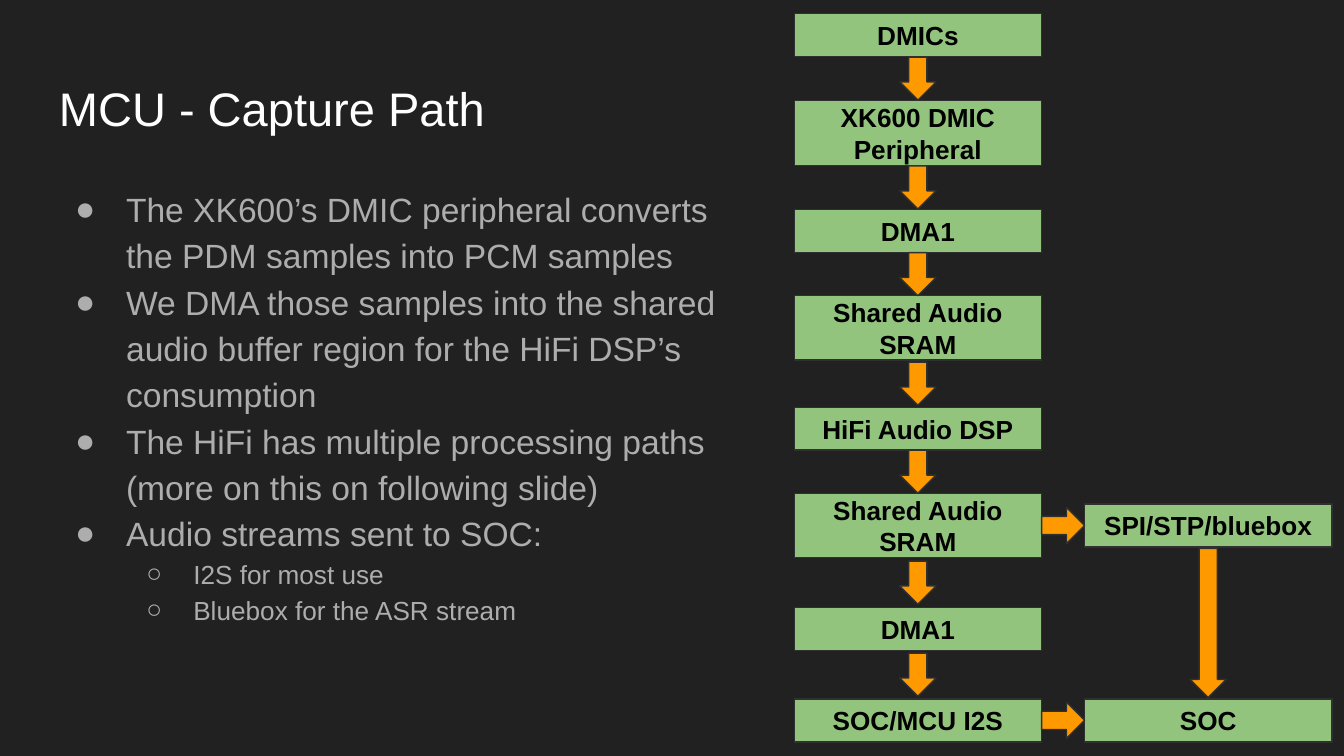
"""Build the capture path slide: bullet text beside a block flow diagram."""
from itertools import pairwise

from lxml.etree import SubElement
from pptx import Presentation
from pptx.dml.color import RGBColor
from pptx.enum.shapes import MSO_SHAPE
from pptx.enum.text import MSO_ANCHOR, PP_ALIGN
from pptx.oxml.ns import qn
from pptx.util import Inches, Pt


def write(para, text, size=14, color="000000", bold=False, align=PP_ALIGN.LEFT):
    para.alignment = align
    span = para.add_run()
    span.text = text
    span.font.name = "Arial"
    span.font.size = Pt(size)
    span.font.bold = bold
    span.font.color.rgb = RGBColor.from_string(color)


def add_block(kind, left, top, width, height, fill):
    block = page.shapes.add_shape(kind, Inches(left), Inches(top), Inches(width), Inches(height))
    block.shadow.inherit = False
    block.fill.solid()
    block.fill.fore_color.rgb = RGBColor.from_string(fill)
    block.line.color.rgb = RGBColor.from_string("303030")
    block.line.width = Pt(0.75)
    return block


deck = Presentation()
deck.slide_width = Inches(10)
deck.slide_height = Inches(10) * 9 // 16
page = deck.slides.add_slide(deck.slide_layouts[6])
page.background.fill.solid()
page.background.fill.fore_color.rgb = RGBColor.from_string("212121")

frames = []
for top, width, height in [(0.49, 9.32, 0.63), (1.26, 5.43, 3.74)]:
    box = page.shapes.add_textbox(Inches(0.34), Inches(top), Inches(width), Inches(height))
    frame = box.text_frame
    frame.word_wrap = True
    frame.margin_left = frame.margin_right = Inches(0.1)
    frame.margin_top = frame.margin_bottom = Inches(0.1)
    frames.append(frame)
title, body = frames
write(title.paragraphs[0], "MCU - Capture Path", size=25.2, color="FFFFFF")

bullets = [
    (0, "The XK600’s DMIC peripheral converts the PDM samples into PCM samples"),
    (0, "We DMA those samples into the shared audio buffer region for the HiFi DSP’s consumption"),
    (0, "The HiFi has multiple processing paths (more on this on following slide)"),
    (0, "Audio streams sent to SOC:"),
    (1, "I2S for most use"),
    (1, "Bluebox for the ASR stream"),
]
styles = [("●", 0.5, 0.38, 18), ("○", 1, 0.35, 14)]
for index, (level, text) in enumerate(bullets):
    mark, margin, hanging, size = styles[level]
    para = body.add_paragraph() if index else body.paragraphs[0]
    para.level = level
    para.line_spacing = 1.15
    write(para, text, size=size, color="ADADAD")
    properties = para._p.get_or_add_pPr()
    properties.set("marL", str(Inches(margin)))
    properties.set("indent", str(-Inches(hanging)))
    bullet_color = SubElement(properties, qn("a:buClr"))
    SubElement(bullet_color, qn("a:srgbClr"), val="ADADAD")
    SubElement(properties, qn("a:buFont"), typeface="Arial")
    SubElement(properties, qn("a:buChar"), char=mark)

box_width, low, high = 1.84, 0.32, 0.48
arrow_width, arrow_length = 0.27, 0.32
main_left, side_left = 5.91, 8.07
main_path = [
    ("DMICs", main_left, 0.1, low),
    ("XK600 DMIC Peripheral", main_left, 0.75, high),
    ("DMA1", main_left, 1.56, low),
    ("Shared Audio SRAM", main_left, 2.2, high),
    ("HiFi Audio DSP", main_left, 3.03, low),
    ("Shared Audio SRAM", main_left, 3.67, high),
    ("DMA1", main_left, 4.52, low),
    ("SOC/MCU I2S", main_left, 5.2, low),
]
side_path = [("SPI/STP/bluebox", side_left, 3.75, low), ("SOC", side_left, 5.2, low)]

for text, left, top, height in main_path + side_path:
    box = add_block(MSO_SHAPE.RECTANGLE, left, top, box_width, height, "93C47D")
    frame = box.text_frame
    frame.word_wrap = True
    frame.vertical_anchor = MSO_ANCHOR.MIDDLE
    frame.margin_left = frame.margin_right = Inches(0.1)
    frame.margin_top = frame.margin_bottom = Inches(0.1)
    write(frame.paragraphs[0], text, bold=True, align=PP_ALIGN.CENTER)

for column, length in [(main_path, arrow_length), (side_path, 1.11)]:
    for (_, left, top, height), (_, _, next_top, _) in pairwise(column):
        arrow_left = left + (box_width - arrow_width) / 2
        arrow_top = (top + height + next_top - length) / 2
        add_block(MSO_SHAPE.DOWN_ARROW, arrow_left, arrow_top, arrow_width, length, "FF9900")

for _, left, top, _ in side_path:
    gap_middle = (main_left + box_width + left) / 2
    arrow_left = gap_middle - arrow_width / 2
    arrow = add_block(MSO_SHAPE.DOWN_ARROW, arrow_left, top, arrow_width, arrow_length, "FF9900")
    arrow.rotation = 270

deck.save("out.pptx")
